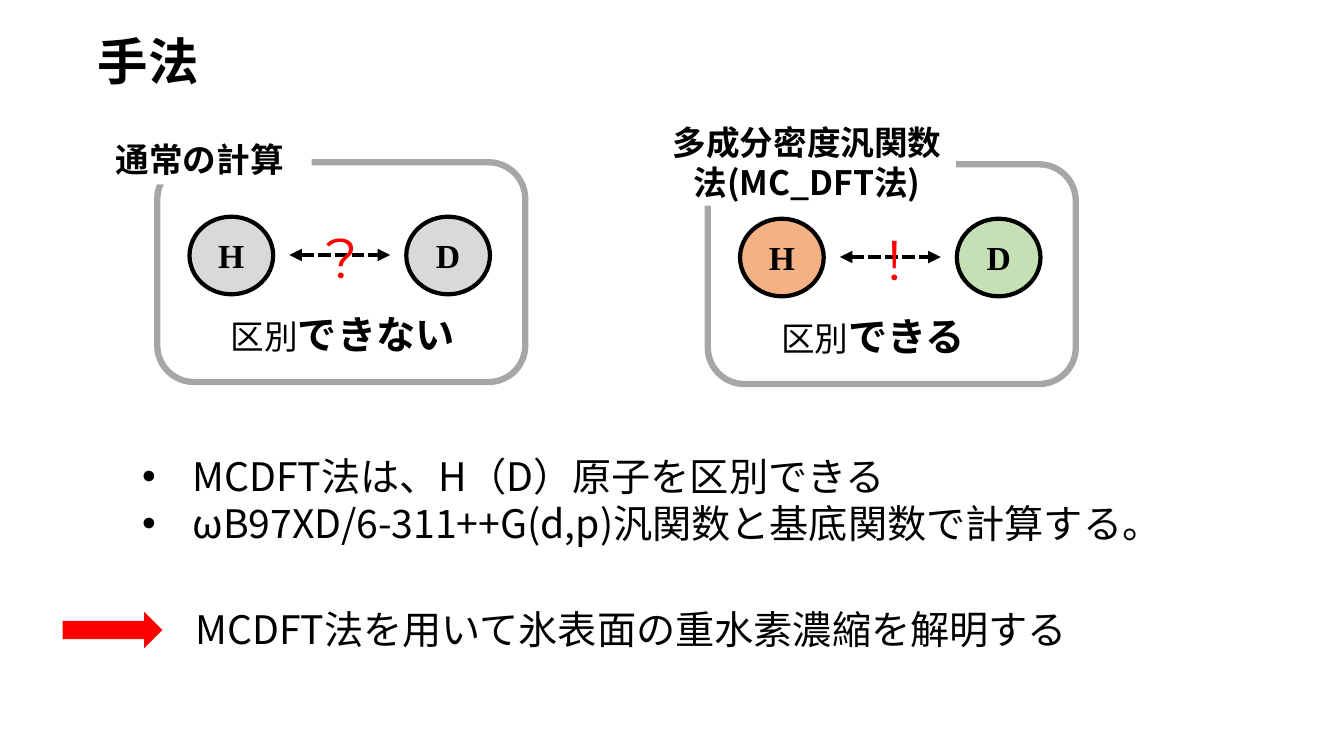
from dataclasses import dataclass

from lxml import etree
from pptx import Presentation
from pptx.dml.color import RGBColor
from pptx.enum import dml, shapes, text
from pptx.oxml import ns
from pptx.util import Inches, Pt


@dataclass(frozen=True)
class Theme:
    font: str = "Noto Sans CJK JP"
    atom_font: str = "Times New Roman"
    mark_font: str = "Montserrat"
    black: str = "000000"
    white: str = "FFFFFF"
    red: str = "FF0000"
    frame: str = "A6A6A6"
    gray: str = "D9D9D9"
    orange: str = "F4B183"
    green: str = "C5E0B4"
    title: int = 36
    mark: int = 40
    body: int = 28
    label: int = 24


T = Theme()
SHAPE = shapes.MSO_SHAPE


def rgb(color):
    return RGBColor.from_string(color)


def sub(parent, tag, **attrs):
    return etree.SubElement(parent, ns.qn(tag), attrs)


def place(sp, x, y, w, h):
    sp.left, sp.top, sp.width, sp.height = map(Inches, (x, y, w, h))


def write(p, words, size=T.body, font=T.font, color=T.black, bold=False):
    """Append a run, with one typeface for Latin and East Asian letters."""
    r = p.add_run()
    r.text = words
    f = r.font
    f.size, f.name, f.bold = Pt(size), font, bold
    f.color.rgb = rgb(color)
    sub(f._element, "a:ea", typeface=font)


def add_text(s, box, words, **fmt):
    sp = s.shapes.add_textbox(*map(Inches, box))
    sp.text_frame.word_wrap = True
    p = sp.text_frame.paragraphs[0]
    write(p, words, **fmt)
    return p


def add_shape(s, kind, box, fill=None, line=None, width=3, words="", **fmt):
    sp = s.shapes.add_shape(kind, *map(Inches, box))
    sp.shadow.inherit = False
    if fill:
        sp.fill.solid()
        sp.fill.fore_color.rgb = rgb(fill)
    else:
        sp.fill.background()
    if line:
        sp.line.color.rgb = rgb(line)
        sp.line.width = Pt(width)
    else:
        sp.line.fill.background()
    if words:
        tf = sp.text_frame
        tf.vertical_anchor = text.MSO_ANCHOR.MIDDLE
        p = tf.paragraphs[0]
        p.alignment = text.PP_ALIGN.CENTER
        write(p, words, size=T.label, bold=True, **fmt)


def add_double_arrow(s, x, y, length):
    c = s.shapes.add_connector(shapes.MSO_CONNECTOR.STRAIGHT,
                               *map(Inches, (x, y, x + length, y)))
    c.line.color.rgb = rgb(T.black)
    c.line.width = Pt(3)
    c.line.dash_style = dml.MSO_LINE.SQUARE_DOT
    ln = c.line._get_or_add_ln()
    for end in ("a:headEnd", "a:tailEnd"):
        sub(ln, end, type="triangle")
    sub(c._element.spPr, "a:effectLst")


def comparison_panel(s, x, y, label, label_box, fills, mark, mark_x, verdict):
    """Frame with a heading, atoms H and D and a verdict; boxes are relative to x, y."""
    add_shape(s, SHAPE.ROUNDED_RECTANGLE, (x, y, 3.65, 2.18), line=T.frame, width=4.5)
    dx, dy, w, h = label_box
    add_shape(s, SHAPE.ROUNDED_RECTANGLE, (x + dx, y + dy, w, h), fill=T.white, words=label)
    for i, (atom, fill) in enumerate(zip("HD", fills)):
        add_shape(s, SHAPE.FLOWCHART_CONNECTOR, (x + 0.32 + 2.15 * i, y + 0.54, 0.83, 0.77),
                  fill=fill, line=T.black, words=atom, font=T.atom_font)
    add_double_arrow(s, x + 1.31, y + 0.92, 1)
    add_text(s, (x + mark_x, y + 0.55, 0.68, 0.77), mark,
             size=T.mark, font=T.mark_font, color=T.red)
    p = add_text(s, (x + 0.63, y + 1.42, 2.54, 0.57), "区別", size=T.label)
    write(p, verdict, bold=True)


def title(s, box, words):
    sp = s.shapes.title
    place(sp, *box)
    tf = sp.text_frame
    tf.word_wrap = False
    tf.auto_size = text.MSO_AUTO_SIZE.NONE
    p = tf.paragraphs[0]
    p.alignment = text.PP_ALIGN.LEFT
    write(p, words, size=T.title, bold=True)


def bullet_list(s, box, items):
    sp = s.placeholders[1]
    place(sp, *box)
    tf = sp.text_frame
    tf.auto_size = text.MSO_AUTO_SIZE.NONE
    for i, item in enumerate(items):
        p = tf.add_paragraph() if i else tf.paragraphs[0]
        p.space_before = Pt(0)
        pPr = p._p.get_or_add_pPr()
        pPr.set("marL", str(Inches(0.5)))
        pPr.set("indent", str(Inches(-0.5)))
        sub(pPr, "a:buFont", typeface="Arial")
        sub(pPr, "a:buChar", char="•")
        write(p, item)


def conclusion(s, x, y, words):
    add_shape(s, SHAPE.RIGHT_ARROW, (x, y + 0.11, 0.99, 0.36), fill=T.red)
    add_text(s, (x + 1.22, y, 11.18, 0.57), words)


def main():
    prs = Presentation()
    prs.slide_width, prs.slide_height = Inches(13.33), Inches(7.5)
    s = prs.slides.add_slide(prs.slide_layouts[1])
    title(s, (0.87, 0.24, 1.21, 0.71), "手法")
    comparison_panel(s, 1.56, 1.61, "通常の計算", (-0.69, -0.28, 2.22, 0.5),
                     (T.gray, T.gray), "?", 1.57, "できない")
    comparison_panel(s, 7.02, 1.63, "多成分密度汎関数法(MC_DFT法)", (-0.49, -0.46, 2.95, 0.87),
                     (T.orange, T.green), "!", 1.68, "できる")
    bullet_list(s, (1.31, 4.44, 11.18, 1.04),
                ["MCDFT法は、H（D）原子を区別できる",
                 "ωB97XD/6-311++G(d,p)汎関数と基底関数で計算する。"])
    conclusion(s, 0.62, 5.96, "MCDFT法を用いて氷表面の重水素濃縮を解明する")
    prs.save("out.pptx")


if __name__ == "__main__":
    main()
